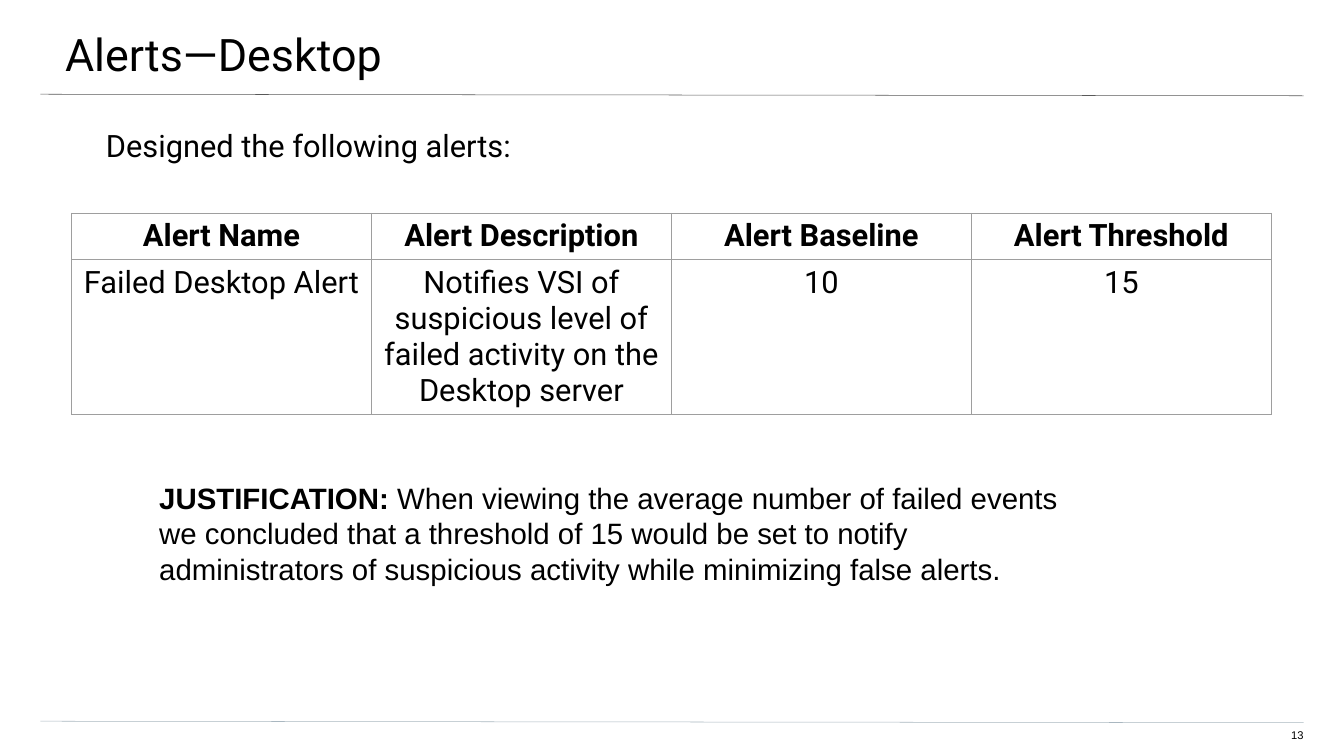
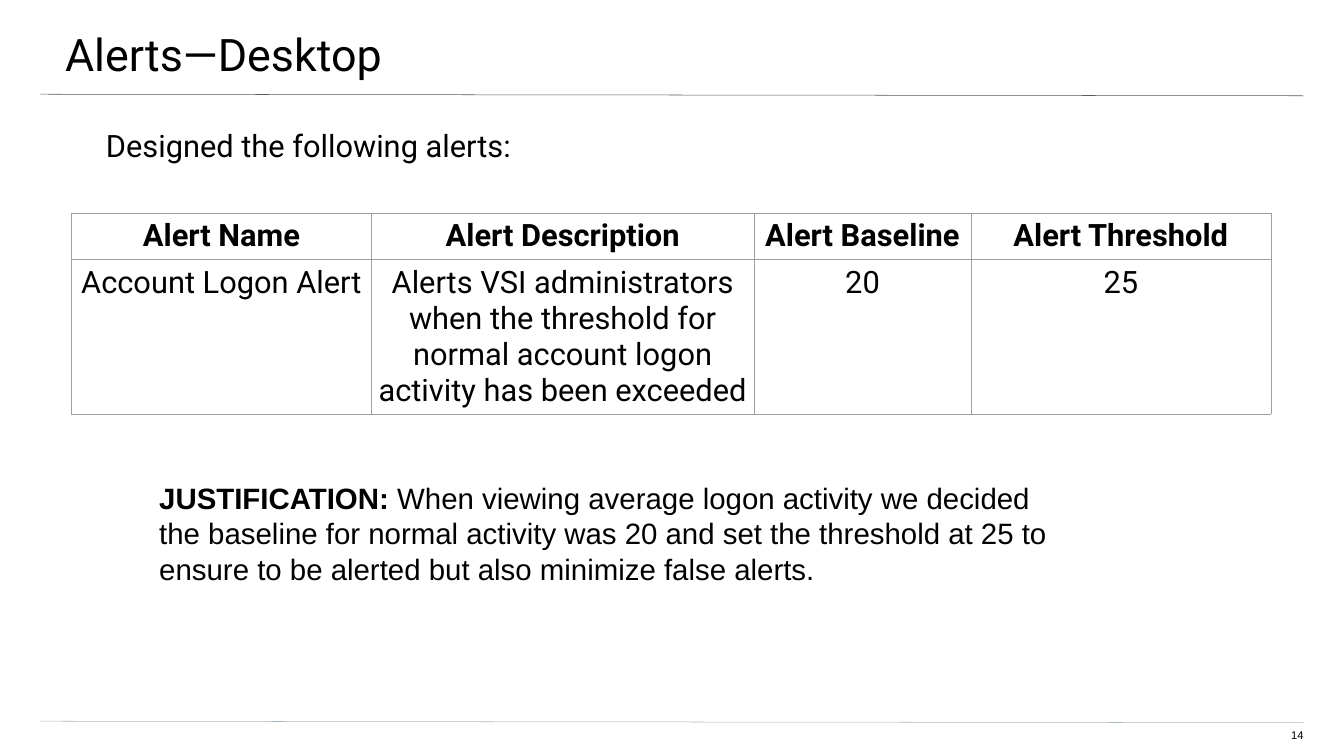
from lxml.etree import SubElement
from pptx import Presentation
from pptx.dml.color import RGBColor
from pptx.enum.shapes import MSO_CONNECTOR
from pptx.enum.text import MSO_ANCHOR, MSO_AUTO_SIZE, PP_ALIGN
from pptx.oxml import parse_xml
from pptx.oxml.ns import nsdecls, qn
from pptx.util import Inches, Pt

BLACK = RGBColor(0x00, 0x00, 0x00)
WHITE = RGBColor(0xFF, 0xFF, 0xFF)
GRAY = RGBColor(0x59, 0x59, 0x59)
SILVER = RGBColor(0xA9, 0xB7, 0xC0)
GRID = RGBColor(0x9E, 0x9E, 0x9E)

HEADS = ["Alert Name", "Alert Description", "Alert Baseline", "Alert Threshold"]
ALERTS = [
    {
        "page": 13,
        "widths": [5.95, 5.95, 5.95, 5.95],
        "row": ["Failed Desktop Alert",
                "Notifies VSI of suspicious level of failed activity on the Desktop server",
                "10", "15"],
        "reason": "When viewing the average number of failed events we concluded that "
                  "a threshold of 15 would be set to notify administrators of "
                  "suspicious activity while minimizing false alerts.",
    },
    {
        "page": 14,
        "widths": [5.95, 7.59, 4.3, 5.95],
        "row": ["Account Logon Alert",
                "Alerts VSI administrators when the threshold for normal account "
                "logon activity has been exceeded",
                "20", "25"],
        "reason": "When viewing average logon activity we decided the baseline for "
                  "normal activity was 20 and set the threshold at 25 to ensure to be "
                  "alerted but also minimize false alerts.",
    },
]


def write(frame, *texts, size=44, font="Roboto", bold=(False,), align=PP_ALIGN.LEFT,
          inset=(0.1, 0.1, 0.1, 0.1)):
    frame.word_wrap = True
    frame.vertical_anchor = MSO_ANCHOR.TOP
    frame.margin_left, frame.margin_top, frame.margin_right, frame.margin_bottom = map(
        Inches, inset)
    line = frame.paragraphs[0]
    line.alignment = align
    for text, heavy in zip(texts, bold):
        run = line.add_run()
        run.text = text
        run.font.size = Pt(size)
        run.font.name = font
        run.font.bold = heavy
        run.font.color.rgb = BLACK


class Deck:
    """Holds the shared slide style and the slide being built."""

    def __init__(self):
        self.prs = Presentation()
        self.prs.slide_width = Inches(26.66)
        self.prs.slide_height = Inches(15)
        self.slide = None

    def start(self, title, page):
        self.slide = self.prs.slides.add_slide(self.prs.slide_layouts[5])
        self.slide.background.fill.solid()
        self.slide.background.fill.fore_color.rgb = WHITE
        self.rule(1.87, GRAY)
        self.rule(14.31, SILVER)
        self.title(title)
        self.text(25.1, 14.46, 0.76, 0.31, str(page), size=16, font="Arial",
                  align=PP_ALIGN.RIGHT, inset=(0, 0, 0, 0.27))

    def title(self, text):
        shape = self.slide.shapes.title
        shape.left, shape.top = Inches(-0.04), Inches(0)
        shape.width, shape.height = Inches(26.73), Inches(1.56)
        shape.text_frame.auto_size = MSO_AUTO_SIZE.NONE
        write(shape.text_frame, text, size=64, inset=(1.33, 0.53, 0.8, 0.27))

    def rule(self, top, color):
        line = self.slide.shapes.add_connector(
            MSO_CONNECTOR.STRAIGHT, Inches(0.8), Inches(top),
            Inches(25.86), Inches(top + 0.03))
        line.line.color.rgb = color
        line.line.width = Pt(0.75)
        SubElement(line._element.spPr, qn("a:effectLst"))

    def text(self, left, top, width, height, *texts, grow=False, **style):
        box = self.slide.shapes.add_textbox(
            Inches(left), Inches(top), Inches(width), Inches(height))
        write(box.text_frame, *texts, **style)
        box.text_frame.auto_size = (
            MSO_AUTO_SIZE.SHAPE_TO_FIT_TEXT if grow else MSO_AUTO_SIZE.NONE)

    def table(self, left, top, widths, heights, rows):
        table = self.slide.shapes.add_table(
            len(rows), len(widths), Inches(left), Inches(top),
            Inches(sum(widths)), Inches(sum(heights))).table
        table.first_row = table.horz_banding = False
        for column, width in zip(table.columns, widths):
            column.width = Inches(width)
        for r, row in enumerate(rows):
            table.rows[r].height = Inches(heights[r])
            for c, text in enumerate(row):
                self.cell(table.cell(r, c), text, r == 0)

    def cell(self, cell, text, head):
        inset = (0.1, 0.1, 0.1, 0.1)
        write(cell.text_frame, text, bold=(head,), align=PP_ALIGN.CENTER, inset=inset)
        cell.margin_left, cell.margin_top, cell.margin_right, cell.margin_bottom = map(
            Inches, inset)
        cell.vertical_anchor = MSO_ANCHOR.TOP
        cell.fill.background()
        props = cell._tc.get_or_add_tcPr()
        for i, side in enumerate("LRTB"):
            props.insert(i, parse_xml(
                f'<a:ln{side} {nsdecls("a")} w="{Pt(0.75)}"><a:solidFill>'
                f'<a:srgbClr val="{GRID}"/></a:solidFill></a:ln{side}>'))

    def alert(self, page, widths, row, reason):
        self.start("Alerts—Desktop", page)
        self.text(0.77, 2.51, 25.09, 10.79, "Designed the following alerts:",
                  inset=(1.33, 0, 1.33, 2.67))
        self.table(1.42, 4.23, widths, [0.92, 3.05], [HEADS, row])
        self.text(3.06, 9.43, 18.12, 2.32, "JUSTIFICATION: ", reason, grow=True,
                  size=42, font="Arial", bold=(True, False))


def main():
    deck = Deck()
    for alert in ALERTS:
        deck.alert(**alert)
    deck.prs.save("out.pptx")


if __name__ == "__main__":
    main()
